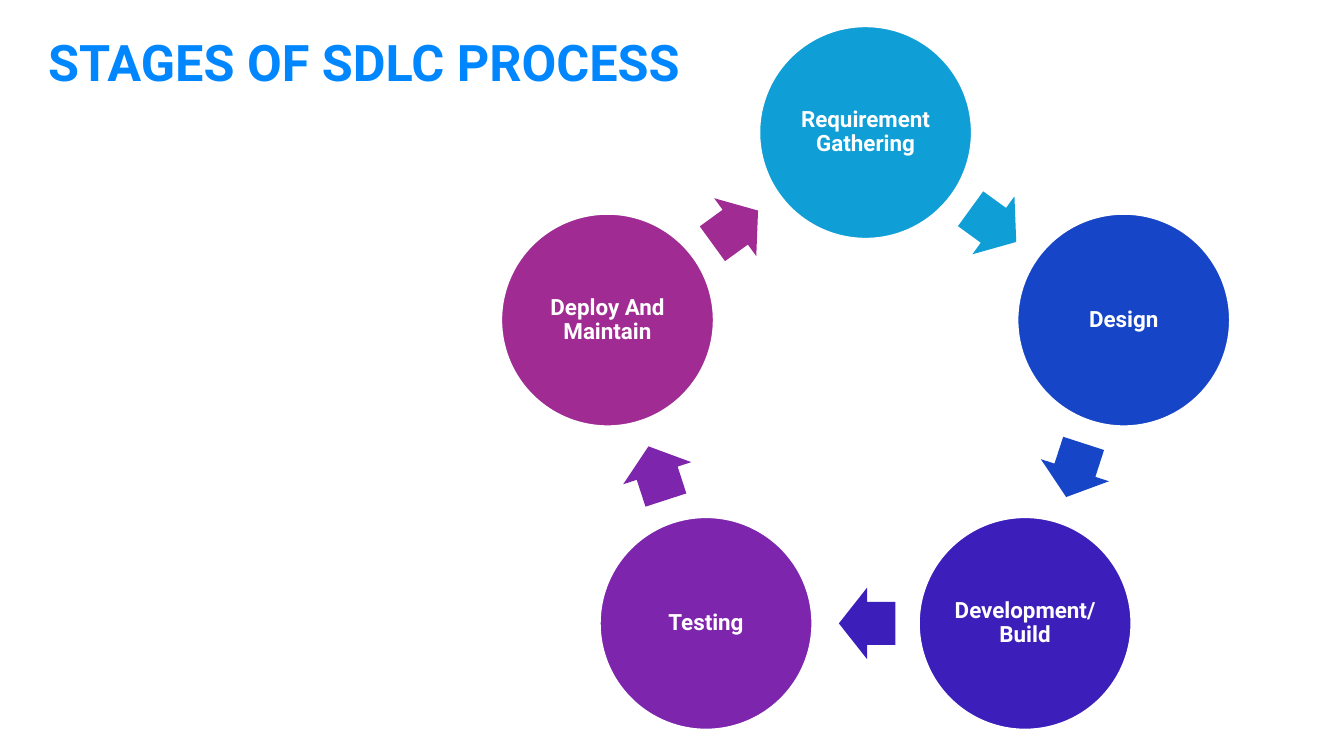
from dataclasses import dataclass
from math import cos, radians, sin

from pptx import Presentation
from pptx.dml.color import RGBColor
from pptx.enum.shapes import MSO_SHAPE
from pptx.enum.text import MSO_ANCHOR, MSO_AUTO_SIZE, PP_ALIGN
from pptx.util import Inches, Pt

OVAL, ARROW = MSO_SHAPE.OVAL, MSO_SHAPE.RIGHT_ARROW
MIDDLE, CENTER = MSO_ANCHOR.MIDDLE, PP_ALIGN.CENTER
FIT_SHAPE = MSO_AUTO_SIZE.SHAPE_TO_FIT_TEXT


@dataclass(frozen=True)
class Theme:
    """Colours, font and type sizes."""
    font: str = "Roboto"
    title: str = "0087FF"
    white: str = "FFFFFF"
    title_size: int = 36
    stage_size: int = 16


THEME = Theme()
STAGES = [
    ("Requirement Gathering", "0F9ED5"),
    ("Design", "1745C7"),
    ("Development/Build", "3C1EBA"),
    ("Testing", "7D25AD"),
    ("Deploy And Maintain", "A02B93"),
]


def rgb(value):
    """Turn a hex string into a colour."""
    return RGBColor.from_string(value)


def set_attrs(target, values):
    """Set attributes from a dict of format values."""
    for name, value in values.items():
        setattr(target, name, value)


def write(p, text, size, color):
    """Add one bold run to a paragraph."""
    r = p.add_run()
    r.text = text
    set_attrs(r.font, {"name": THEME.font, "size": Pt(size), "bold": True})
    r.font.color.rgb = rgb(color)


def add_centred(slide, kind, cx, cy, w, h, color):
    """Add a filled shape around a centre point."""
    sp = slide.shapes.add_shape(kind, Inches(cx - w / 2), Inches(cy - h / 2),
                                Inches(w), Inches(h))
    sp.shadow.inherit = False
    sp.fill.solid()
    sp.fill.fore_color.rgb = rgb(color)
    return sp


def add_title(slide, x, y, w, h, text):
    """Add the slide title."""
    tf = slide.shapes.add_textbox(*map(Inches, (x, y, w, h))).text_frame
    set_attrs(tf, {"word_wrap": True, "auto_size": FIT_SHAPE})
    write(tf.paragraphs[0], text, THEME.title_size, THEME.title)


def add_stage(slide, cx, cy, size, text, color):
    """Add one labelled stage circle."""
    sp = add_centred(slide, OVAL, cx, cy, size, size, color)
    sp.line.color.rgb = rgb(THEME.white)
    sp.line.width = Pt(1.5)
    tf = sp.text_frame
    sides = ("left", "top", "right", "bottom")
    set_attrs(tf, {f"margin_{side}": Inches(0.02) for side in sides})
    set_attrs(tf, {"word_wrap": True, "vertical_anchor": MIDDLE})
    p = tf.paragraphs[0]
    set_attrs(p, {"alignment": CENTER, "line_spacing": 0.9})
    write(p, text, THEME.stage_size, THEME.white)


def add_arrow(slide, cx, cy, rotation, color):
    """Add one block arrow between two stages."""
    sp = add_centred(slide, ARROW, cx, cy, 0.56, 0.71, color)
    sp.line.fill.background()
    sp.rotation = rotation
    sp.adjustments[0], sp.adjustments[1] = 0.6, 0.5


def add_cycle(slide, x, y, w, size, stages):
    """Place stages clockwise on a ring, with arrows on the chords."""
    step = 360 / len(stages)
    radius = (w - size) / 2 / sin(radians(step))
    cx, cy = x + w / 2, y + size / 2 + radius
    chord_radius = radius * cos(radians(step / 2))
    lag = 0.015
    for i, (text, color) in enumerate(stages):
        angle = radians(i * step)
        add_stage(slide, cx + radius * sin(angle), cy - radius * cos(angle),
                  size, text, color)
        turn = (i + 0.5) * step
        dx, dy = cos(radians(turn)), sin(radians(turn))
        add_arrow(slide, cx + chord_radius * dy - lag * dx,
                  cy - chord_radius * dx - lag * dy, turn, color)


def main():
    """Build and save the slide."""
    prs = Presentation()
    prs.slide_width, prs.slide_height = Inches(13.33), Inches(7.5)
    slide = prs.slides.add_slide(prs.slide_layouts[6])
    add_cycle(slide, 4.97, 0.26, 7.23, 2.11, STAGES)
    add_title(slide, 0.38, 0.26, 6.67, 0.71, "STAGES OF SDLC PROCESS")
    prs.save("out.pptx")


if __name__ == "__main__":
    main()
